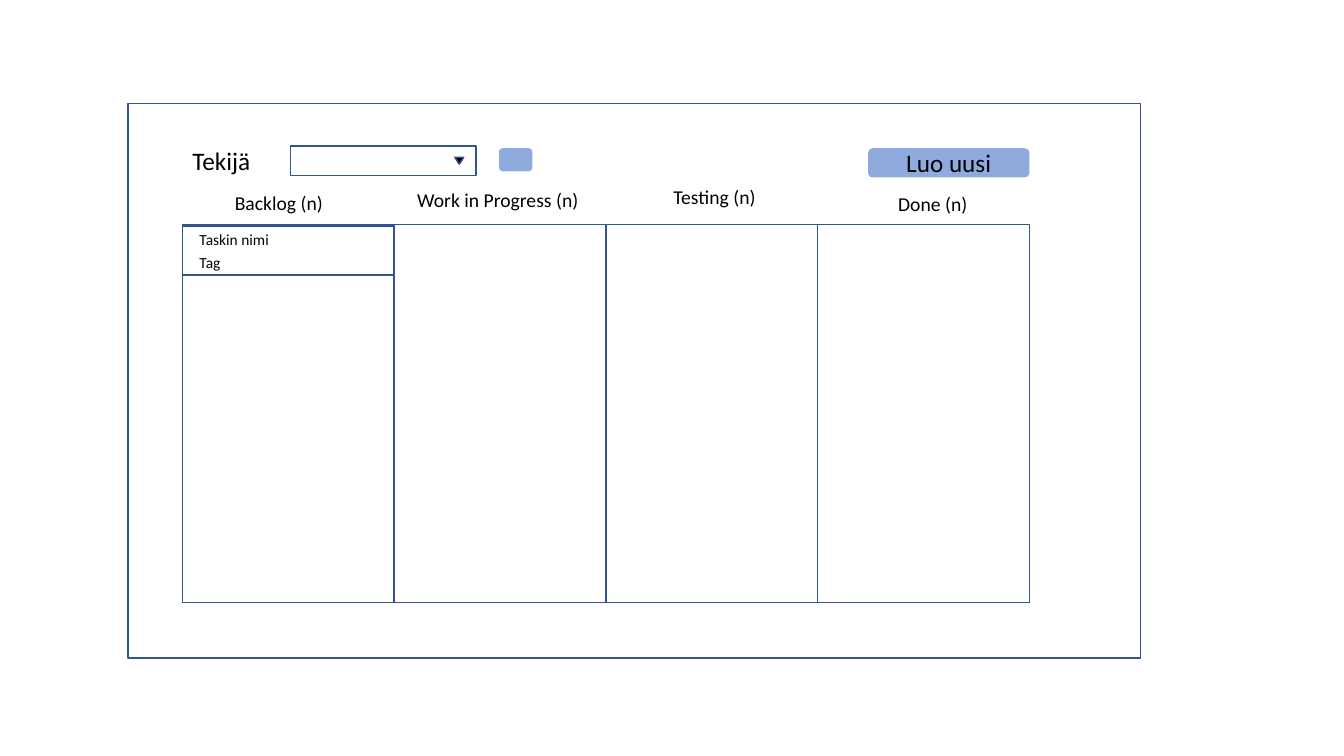
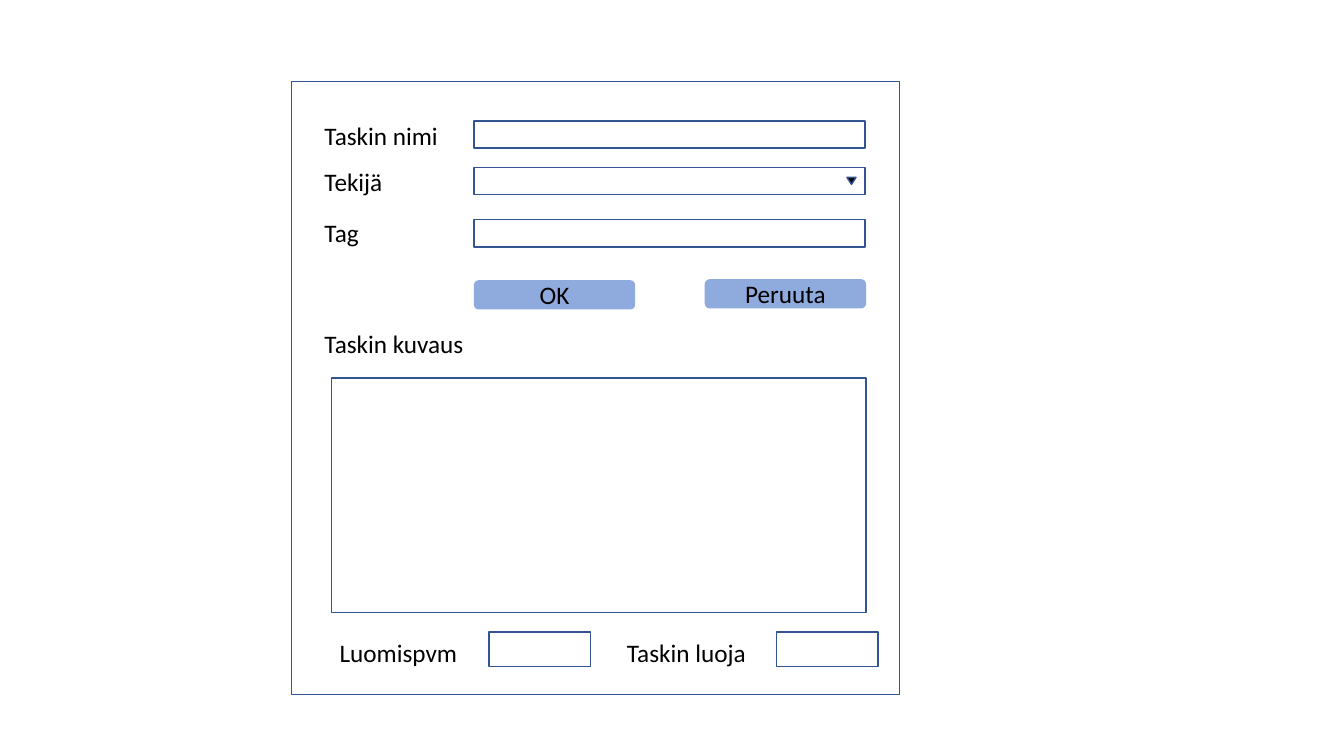
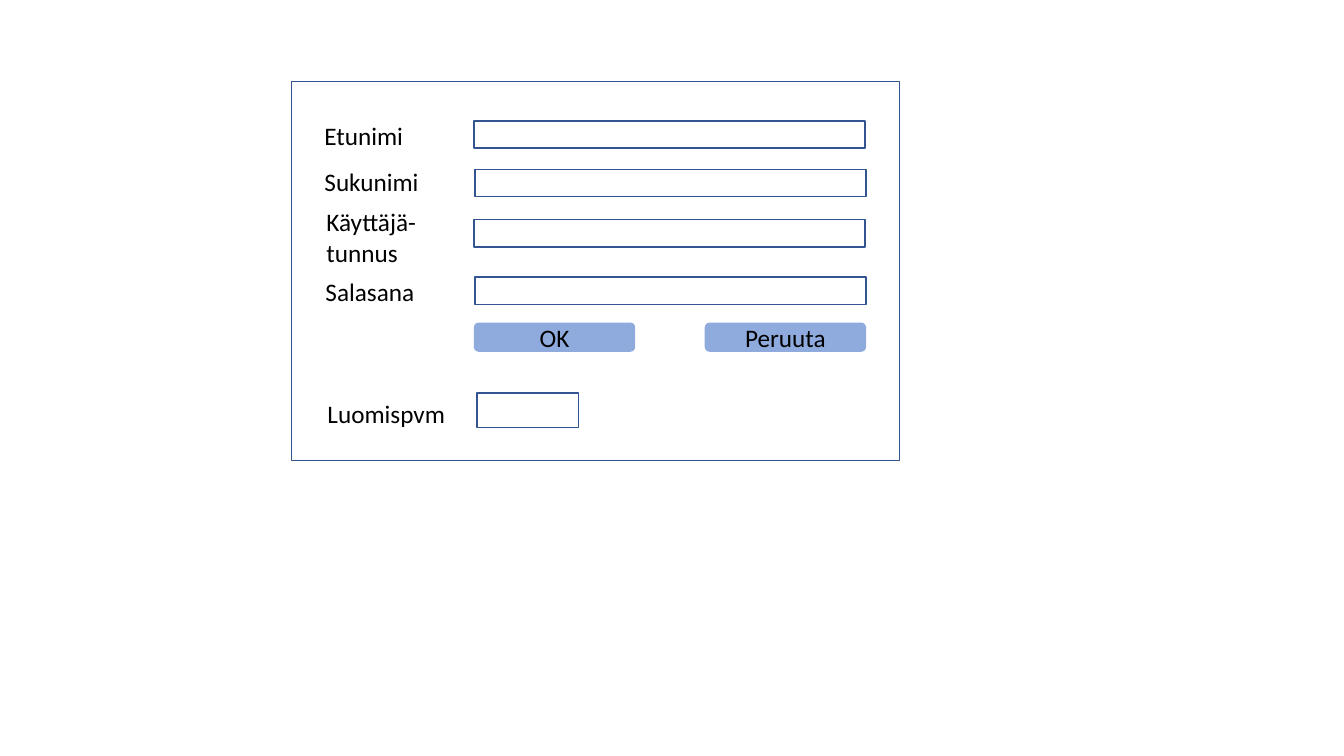
import dataclasses

import pptx
import pptx.dml.color
import pptx.enum.shapes
import pptx.enum.text
import pptx.util

Inches = pptx.util.Inches
Shapes = pptx.enum.shapes.MSO_SHAPE
FONT = "Calibri"
WHITE, BLACK, OUTLINE, BUTTON = "FFFFFF", "000000", "325491", "8FAADC"
FIELD_LEFT, FIELD_WIDTH, FIELD_HEIGHT = 4.7, 3.88, 0.27
BUTTON_WIDTH, BUTTON_HEIGHT = 1.6, 0.29
DATE_WIDTH, DATE_HEIGHT = 1.01, 0.34
COLUMN_LEFT, COLUMN_TOP, COLUMN_WIDTH, COLUMN_HEIGHT = 1.81, 2.23, 2.1, 3.75


@dataclasses.dataclass(frozen=True)
class Area:
    left: float
    top: float
    width: float
    height: float

    def lengths(self) -> list:
        return [Inches(value) for value in dataclasses.astuple(self)]


@dataclasses.dataclass(frozen=True)
class Label:
    text: str
    left: float
    top: float
    width: float = 1.73
    height: float = 0.4
    size: int = 18


@dataclasses.dataclass(frozen=True)
class Button:
    text: str
    left: float
    top: float
    width: float = BUTTON_WIDTH
    height: float = BUTTON_HEIGHT


def color(value: str) -> pptx.dml.color.RGBColor:
    return pptx.dml.color.RGBColor.from_string(value)


def format_text(frame, text: str, size: int) -> None:
    frame.text = text
    frame.word_wrap = True
    for para in frame.paragraphs:
        for span in para.runs:
            span.font.name = FONT
            span.font.size = pptx.util.Pt(size)
            span.font.color.rgb = color(BLACK)


def draw_shape(page, kind, area: Area, fill: str, outlined: bool = True):
    shape = page.shapes.add_shape(kind, *area.lengths())
    shape.shadow.inherit = False
    shape.fill.solid()
    shape.fill.fore_color.rgb = color(fill)
    if outlined:
        shape.line.color.rgb = color(OUTLINE)
        shape.line.width = pptx.util.Pt(1)
    else:
        shape.line.fill.background()
    return shape


def draw_box(page, area: Area) -> None:
    draw_shape(page, Shapes.RECTANGLE, area, WHITE)


def draw_field(page, top: float, left: float = FIELD_LEFT) -> None:
    draw_box(page, Area(left, top, FIELD_WIDTH, FIELD_HEIGHT))


def draw_date_field(page, left: float, top: float) -> None:
    draw_box(page, Area(left, top, DATE_WIDTH, DATE_HEIGHT))


def draw_dropdown_arrow(page, left: float, top: float) -> None:
    area = Area(left, top, 0.09, 0.07)
    draw_shape(page, Shapes.ISOSCELES_TRIANGLE, area, BLACK).rotation = 180


def draw_label(page, label: Label) -> None:
    area = Area(label.left, label.top, label.width, label.height)
    box = page.shapes.add_textbox(*area.lengths())
    format_text(box.text_frame, label.text, label.size)


def draw_button(page, button: Button) -> None:
    area = Area(button.left, button.top, button.width, button.height)
    shape = draw_shape(page, Shapes.ROUNDED_RECTANGLE, area, BUTTON, outlined=False)
    if button.text:
        frame = shape.text_frame
        format_text(frame, button.text, 18)
        frame.vertical_anchor = pptx.enum.text.MSO_ANCHOR.MIDDLE
        frame.paragraphs[0].alignment = pptx.enum.text.PP_ALIGN.CENTER


def add_window(deck, frame: Area, labels: list[Label], buttons: list[Button]):
    page = deck.slides.add_slide(deck.slide_layouts[6])
    draw_box(page, frame)
    for label in labels:
        draw_label(page, label)
    for button in buttons:
        draw_button(page, button)
    return page


def build_board(deck) -> None:
    headings = [
        Label("Backlog (n)", 2.23, 1.84, 1.09, 0.34, 14),
        Label("Work in Progress (n)", 4.04, 1.82, 1.84, 0.34, 14),
        Label("Testing (n)", 6.58, 1.79, 1.38, 0.34, 14),
        Label("Done (n)", 8.81, 1.86, 1.21, 0.34, 14),
    ]
    author = Label("Tekijä", COLUMN_LEFT, 1.39, 1.09)
    buttons = [Button("Luo uusi", 8.61, 1.47), Button("", 4.95, 1.47, 0.33, 0.23)]
    page = add_window(deck, Area(1.27, 1.03, 10.04, 5.5), [author, *headings], buttons)
    draw_box(page, Area(2.88, 1.45, 1.84, 0.29))
    draw_dropdown_arrow(page, 4.51, 1.56)
    for index in range(len(headings)):
        left = COLUMN_LEFT + index * COLUMN_WIDTH
        draw_box(page, Area(left, COLUMN_TOP, COLUMN_WIDTH, COLUMN_HEIGHT))
    draw_box(page, Area(COLUMN_LEFT, 2.24, COLUMN_WIDTH, 0.49))
    for text, top in (("Taskin nimi", 2.23), ("Tag", 2.46)):
        draw_label(page, Label(text, 1.88, top, 1.02, 0.29, 11))


def build_task_form(deck) -> None:
    labels = [
        Label("Taskin nimi", 3.12, 1.14),
        Label("Tekijä", 3.12, 1.6),
        Label("Tag", 3.12, 2.11),
        Label("Taskin kuvaus", 3.12, 3.21),
        Label("Luomispvm", 3.27, 6.27, 1.43),
        Label("Taskin luoja", 6.12, 6.27, 1.43),
    ]
    buttons = [Button("OK", 4.7, 2.78), Button("Peruuta", 6.99, 2.77)]
    page = add_window(deck, Area(2.89, 0.81, 6.03, 6.08), labels, buttons)
    for top in (1.2, 1.66, 2.18):
        draw_field(page, top)
    draw_dropdown_arrow(page, 8.4, 1.76)
    draw_box(page, Area(3.29, 3.75, 5.3, 2.33))
    for left in (4.85, 7.7):
        draw_date_field(page, left, 6.27)


def build_user_form(deck) -> None:
    labels = [
        Label("Etunimi", 3.12, 1.14),
        Label("Sukunimi", 3.12, 1.6),
        Label("Käyttäjä-tunnus", 3.14, 2, 1.23, 0.71),
        Label("Salasana", 3.13, 2.69),
        Label("Luomispvm", 3.15, 3.9, 1.43),
    ]
    buttons = [Button("OK", 4.7, 3.2), Button("Peruuta", 6.99, 3.2)]
    page = add_window(deck, Area(2.89, 0.81, 6.03, 3.76), labels, buttons)
    for top, left in ((1.2, 4.7), (1.68, 4.71), (2.18, 4.7), (2.75, 4.71)):
        draw_field(page, top, left)
    draw_date_field(page, 4.73, 3.9)


def main() -> None:
    deck = pptx.Presentation()
    deck.slide_width = Inches(13.33)
    deck.slide_height = Inches(7.5)
    build_board(deck)
    build_task_form(deck)
    build_user_form(deck)
    deck.save("out.pptx")


main()
